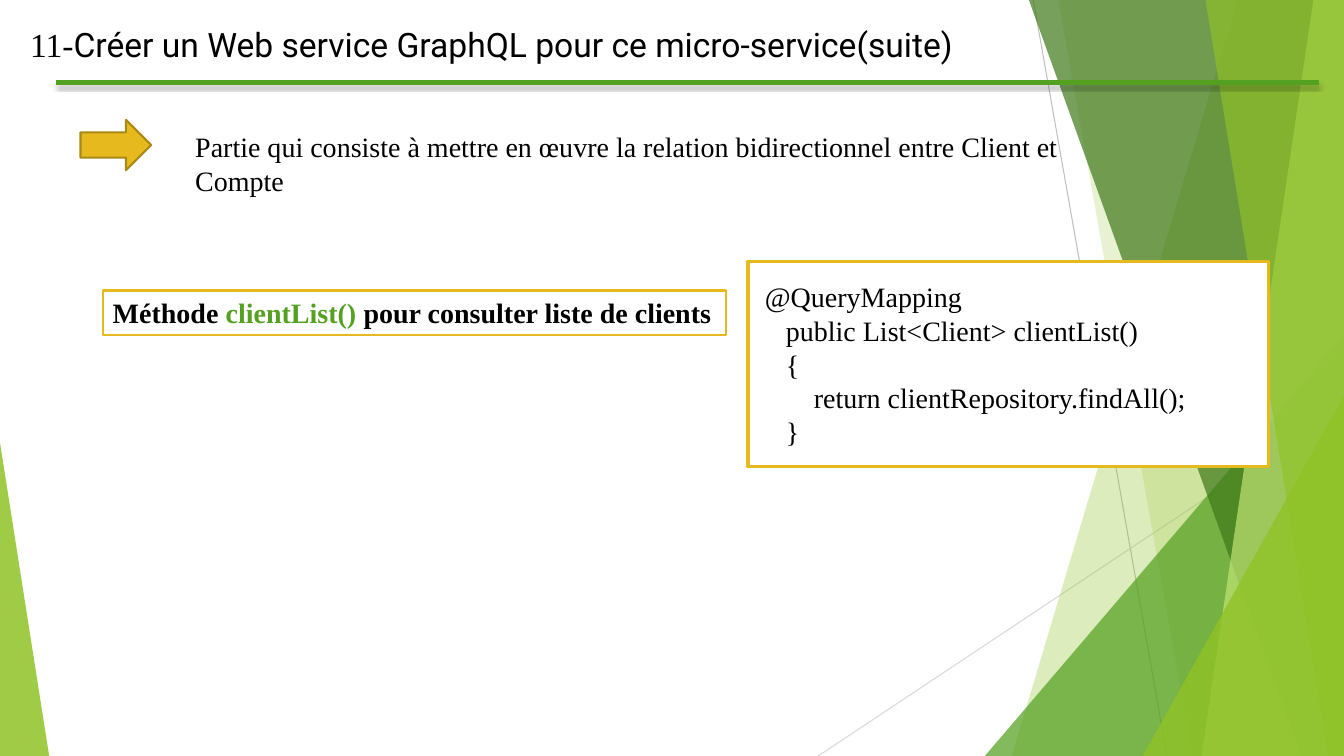
import dataclasses
import typing

import pptx
import pptx.dml.color
import pptx.enum.shapes
import pptx.enum.text
import pptx.oxml
import pptx.oxml.ns
import pptx.util

Cm = pptx.util.Cm
Pt = pptx.util.Pt
Kind = pptx.enum.shapes.MSO_SHAPE
Anchor = pptx.enum.text.MSO_ANCHOR


@dataclasses.dataclass(frozen=True)
class Theme:
    lime: str = "90C226"
    green: str = "54A021"
    dark: str = "3F7819"
    pale: str = "C0E474"
    gold: str = "E6B91E"
    bronze: str = "AA8916"
    black: str = "000000"
    white: str = "FFFFFF"
    silver: str = "BFBFBF"
    mist: str = "D9D9D9"
    serif: str = "Times New Roman"
    sans: str = "Roboto"
    title: int = 24
    body: int = 20


THEME = Theme()
WIDE, HIGH = 33.87, 19.05


class Box(typing.NamedTuple):
    left: float
    top: float
    width: float
    height: float


class Band(typing.NamedTuple):
    """A strip from the slide's top to its bottom, bounded by the right edge."""
    top: float
    foot: float
    color: str
    alpha: int


class Wedge(typing.NamedTuple):
    """A right triangle standing on the bottom edge; peak is 0 left, 1 right."""
    left: float
    top: float
    width: float
    peak: int
    color: str
    alpha: int


class Piece(typing.NamedTuple):
    text: str
    font: str = THEME.serif
    color: str = THEME.black
    bold: bool = False


BANDS = [
    Band(31.19, 25.5, THEME.lime, 30),
    Band(26.67, 30.05, THEME.lime, 20),
    Band(25.93, 32.79, THEME.dark, 70),
    Band(33.1, 30.28, THEME.pale, 70),
    Band(30.38, 33.48, THEME.lime, 65),
]
WEDGES = [
    Wedge(24.82, 8.46, 9.05, 1, THEME.green, 72),
    Wedge(28.8, 9.98, 5.07, 1, THEME.lime, 80),
    Wedge(0, 11.15, 1.24, 0, THEME.lime, 85),
]
CODE = """ @QueryMapping
    public List<Client> clientList()
    {
        return clientRepository.findAll();
    }"""


def tint(code: str) -> pptx.dml.color.RGBColor:
    return pptx.dml.color.RGBColor.from_string(code)


def paint(shape, color: str, edge: str = "", weight: float = 0, alpha: int = 100) -> None:
    shape.shadow.inherit = False
    shape.fill.solid()
    shape.fill.fore_color.rgb = tint(color)
    if alpha < 100:
        mark = shape._element.spPr.find(".//" + pptx.oxml.ns.qn("a:srgbClr"))
        node = f'<a:alpha {pptx.oxml.ns.nsdecls("a")} val="{alpha * 1000}"/>'
        mark.append(pptx.oxml.parse_xml(node))
    if edge:
        shape.line.color.rgb = tint(edge)
        shape.line.width = Pt(weight)
    else:
        shape.line.fill.background()


def draw_line(shapes, start: tuple[float, float], end: tuple[float, float],
              color: str, weight: float, shade: str = "") -> None:
    """Draw a line; shade is the XML of its shadow, if any."""
    line = shapes.add_connector(pptx.enum.shapes.MSO_CONNECTOR.STRAIGHT,
                                *map(Cm, start + end))
    line.line.color.rgb = tint(color)
    line.line.width = Pt(weight)
    node = f'<a:effectLst {pptx.oxml.ns.nsdecls("a")}>{shade}</a:effectLst>'
    line._element.spPr.append(pptx.oxml.parse_xml(node))


def draw_band(shapes, band: Band) -> None:
    pen = shapes.build_freeform(Cm(band.top), 0)
    corners = [(WIDE, 0), (WIDE, HIGH), (band.foot, HIGH)]
    pen.add_line_segments([(Cm(x), Cm(y)) for x, y in corners], close=True)
    paint(pen.convert_to_shape(), band.color, alpha=band.alpha)


def add_shape(shapes, kind, box: Box):
    return shapes.add_shape(kind, *map(Cm, box))


def draw_wedge(shapes, wedge: Wedge) -> None:
    box = Box(wedge.left, wedge.top, wedge.width, HIGH - wedge.top)
    shape = add_shape(shapes, Kind.ISOSCELES_TRIANGLE, box)
    shape.adjustments[0] = wedge.peak
    paint(shape, wedge.color, alpha=wedge.alpha)


def style(run, piece: Piece, size: int) -> None:
    run.font.size = Pt(size)
    run.font.name = piece.font
    run.font.bold = piece.bold
    run.font.color.rgb = tint(piece.color)


def write(shape, pieces: list[Piece], size: int, wrap: bool = True) -> None:
    """Write one line of differently styled pieces."""
    frame = shape.text_frame
    frame.word_wrap = wrap
    frame.auto_size = pptx.enum.text.MSO_AUTO_SIZE.SHAPE_TO_FIT_TEXT
    line = frame.paragraphs[0]
    line.alignment = pptx.enum.text.PP_ALIGN.LEFT
    for piece in pieces:
        run = line.add_run()
        run.text = piece.text
        style(run, piece, size)


def write_code(shape, code: str) -> None:
    frame = shape.text_frame
    frame.word_wrap = True
    frame.vertical_anchor = Anchor.MIDDLE
    frame.text = code
    for line in frame.paragraphs:
        line.alignment = pptx.enum.text.PP_ALIGN.LEFT
        for run in line.runs:
            style(run, Piece(run.text), THEME.body)


def draw_back(shapes) -> None:
    draw_line(shapes, (26.04, 0), (29.41, HIGH), THEME.silver, 0.75)
    draw_line(shapes, (WIDE, 10.24), (20.62, HIGH), THEME.mist, 0.75)
    large, small, left = WEDGES
    for band in BANDS[:2]:
        draw_band(shapes, band)
    draw_wedge(shapes, large)
    for band in BANDS[2:]:
        draw_band(shapes, band)
    for wedge in (small, left):
        draw_wedge(shapes, wedge)


def main() -> None:
    deck = pptx.Presentation()
    deck.slide_width, deck.slide_height = Cm(WIDE), Cm(HIGH)
    shapes = deck.slides.add_slide(deck.slide_layouts[6]).shapes
    draw_back(shapes)

    shade = (f'<a:outerShdw blurRad="{Pt(3)}" dist="{Pt(2)}" dir="5400000" rotWithShape="0">'
             f'<a:srgbClr val="{THEME.black}"><a:alpha val="35000"/></a:srgbClr></a:outerShdw>')
    draw_line(shapes, (1.4, 2.08), (33.25, 2.08), THEME.green, 3, shade)
    title = shapes.add_textbox(*map(Cm, Box(0.51, 0.48, 32.74, 1.27)))
    write(title, [Piece("11-"),
                  Piece("Créer un Web service GraphQL pour ce micro-service(suite)", THEME.sans)],
          THEME.title)

    intro = shapes.add_textbox(*map(Cm, Box(4.67, 3.15, 24.4, 1.12)))
    write(intro, [Piece("Partie qui consiste à mettre en œuvre la relation bidirectionnel "
                        "entre Client et Compte")], THEME.body)
    arrow = add_shape(shapes, Kind.RIGHT_ARROW, Box(2.03, 3.02, 1.78, 1.27))
    paint(arrow, THEME.gold, THEME.bronze, 1.5)

    code = add_shape(shapes, Kind.RECTANGLE, Box(18.85, 6.58, 13.11, 5.18))
    paint(code, THEME.white, THEME.gold, 2.25)
    write_code(code, CODE)
    label = add_shape(shapes, Kind.RECTANGLE, Box(2.59, 7.32, 15.7, 1.12))
    paint(label, THEME.white, THEME.gold, 1.5)
    label.text_frame.vertical_anchor = Anchor.TOP
    write(label, [Piece("Méthode ", bold=True),
                  Piece("clientList() ", color=THEME.green, bold=True),
                  Piece("pour consulter liste de clients", bold=True)], THEME.body, wrap=False)
    deck.save("out.pptx")


if __name__ == "__main__":
    main()
